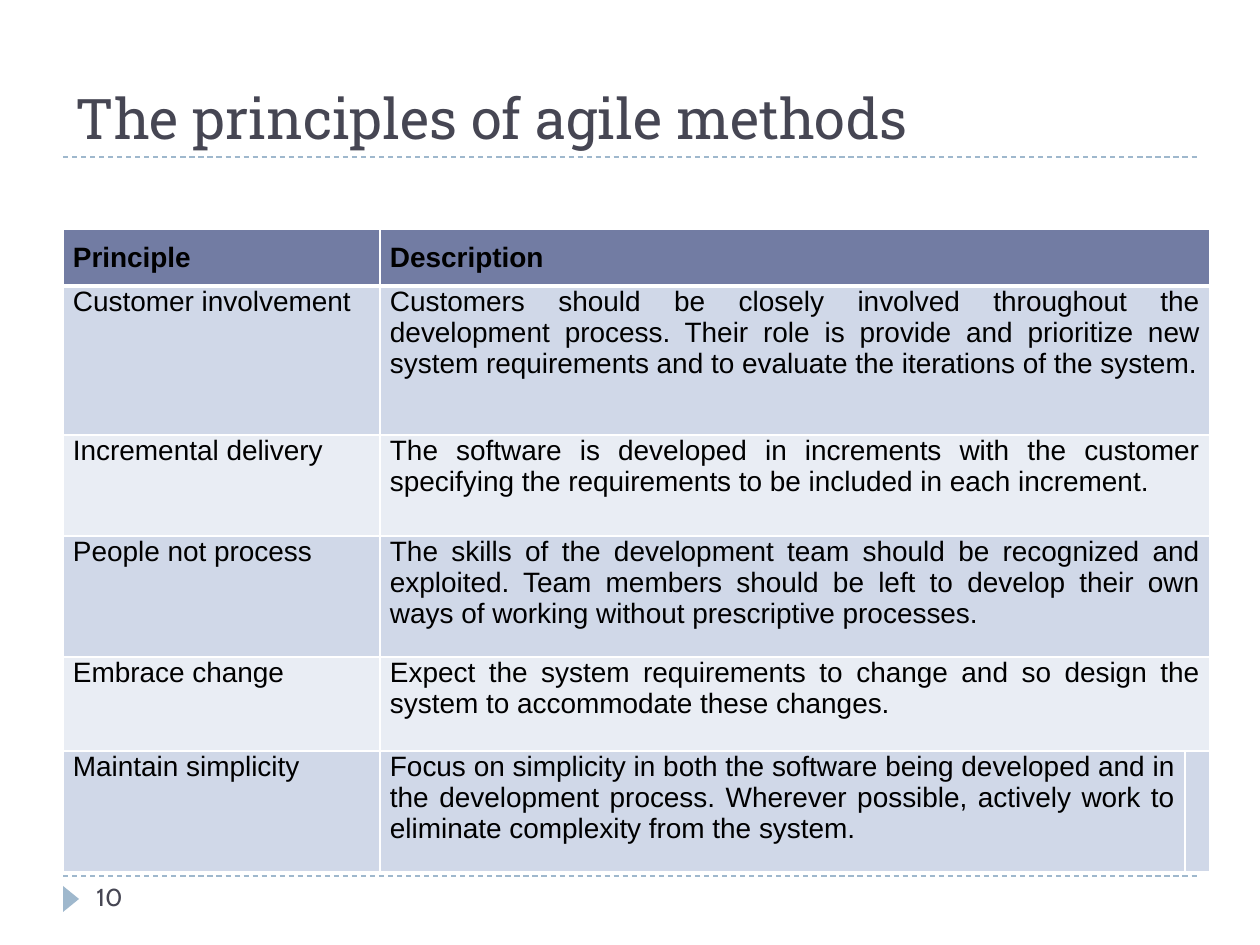
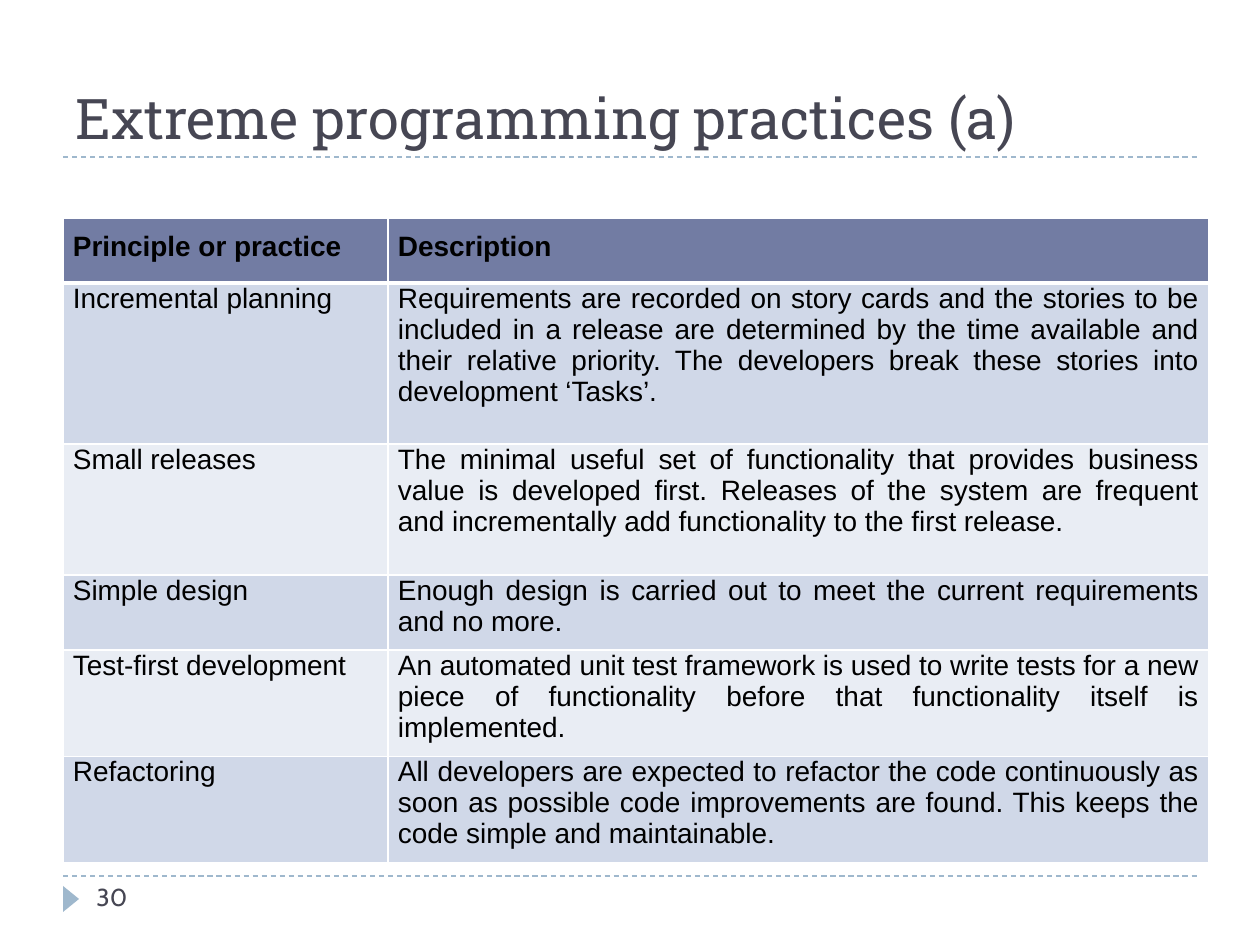
from lxml import etree
from pptx import Presentation
from pptx import util as u
from pptx.dml.color import RGBColor
from pptx.enum import dml, shapes, text
from pptx.oxml.ns import qn

PX_PER_INCH = 126
INK, ACCENT, WHITE, BLACK = "464653", "9FB8CD", "FFFFFF", "000000"
HEADER_FILL, ROW_FILLS = "727CA3", ("D0D8E8", "E9EDF4")
MARGIN, CONTENT_WIDTH = 63, 1134
TITLE_BOX = (MARGIN, 21, CONTENT_WIDTH, 136)
TITLE_RULE_Y, FOOTER_Y = 157, 876
CELL_PAD_X, CELL_PAD_Y = 10, 13

PRINCIPLES = [
    ("Principle", "Description"),
    ("Customer involvement",
     "Customers should be closely involved throughout the development process. "
     "Their role is provide and prioritize new system requirements and to "
     "evaluate the iterations of the system."),
    ("Incremental delivery",
     "The software is developed in increments with the customer specifying the "
     "requirements to be included in each increment."),
    ("People not process",
     "The skills of the development team should be recognized and exploited. "
     "Team members should be left to develop their own ways of working without "
     "prescriptive processes."),
    ("Embrace change",
     "Expect the system requirements to change and so design the system to "
     "accommodate these changes."),
    ("Maintain simplicity",
     "Focus on simplicity in both the software being developed and in the "
     "development process. Wherever possible, actively work to eliminate "
     "complexity from the system."),
]
PRACTICES = [
    ("Principle or practice", "Description"),
    ("Incremental planning",
     "Requirements are recorded on story cards and the stories to be included "
     "in a release are determined by the time available and their relative "
     "priority. The developers break these stories into development ‘Tasks’."),
    ("Small releases",
     "The minimal useful set of functionality that provides business value is "
     "developed first. Releases of the system are frequent and incrementally "
     "add functionality to the first release."),
    ("Simple design",
     "Enough design is carried out to meet the current requirements and no more."),
    ("Test-first development",
     "An automated unit test framework is used to write tests for a new piece "
     "of functionality before that functionality itself is implemented."),
    ("Refactoring",
     "All developers are expected to refactor the code continuously as soon as "
     "possible code improvements are found. This keeps the code simple and "
     "maintainable."),
]


def px(length):
    return round(length * u.Inches(1) / PX_PER_INCH)


def color(hex_string):
    return RGBColor.from_string(hex_string)


def write(frame, content, *, font, size, ink, bold=False, align=text.PP_ALIGN.LEFT):
    frame.word_wrap = True
    paragraph = frame.paragraphs[0]
    paragraph.alignment = align
    run = paragraph.add_run()
    run.text = content
    run.font.name, run.font.size, run.font.bold = font, u.Pt(size), bold
    run.font.color.rgb = color(ink)


def add_rule(slide, left, top, width):
    rule = slide.shapes.add_connector(
        shapes.MSO_CONNECTOR.STRAIGHT, px(left), px(top), px(left + width), px(top))
    rule.line.color.rgb = color(ACCENT)
    rule.line.width = u.Pt(0.75)
    rule.line.dash_style = dml.MSO_LINE.DASH
    etree.SubElement(rule._element.spPr, qn("a:effectLst"))


def add_title(slide, content, box):
    left, top, width, height = box
    title = slide.shapes.title
    title.left, title.top, title.width, title.height = map(px, box)
    title.text_frame.vertical_anchor = text.MSO_ANCHOR.BOTTOM
    write(title.text_frame, content, font="Roboto Slab", size=32, ink=INK)
    add_rule(slide, left, top + height, width)


def add_footer(slide, number, left, top, width):
    add_rule(slide, left, top, width)
    marker = slide.shapes.add_shape(
        shapes.MSO_SHAPE.ISOSCELES_TRIANGLE, px(left - 5), px(top + 15), px(26), px(16))
    marker.rotation = 90
    marker.shadow.inherit = False
    marker.fill.solid()
    marker.fill.fore_color.rgb = color(ACCENT)
    marker.line.fill.background()
    page = slide.shapes.add_textbox(px(left + 21), px(top), px(273), px(50))
    write(page.text_frame, str(number), font="Cabin", size=14, ink=INK)


def set_borders(cell, **widths):
    """Draw white borders; each side (L, R, T, B) is 1 pt unless given."""
    properties = cell._tc.get_or_add_tcPr()
    for side in "LRTB":
        line = etree.SubElement(properties, qn(f"a:ln{side}"),
                                w=str(u.Pt(widths.get(side, 1))))
        fill = etree.SubElement(line, qn("a:solidFill"))
        etree.SubElement(fill, qn("a:srgbClr"), val=WHITE)


def style_cell(cell, row_index):
    is_header = row_index == 0
    heavy_sides = {0: {"B": 3}, 1: {"T": 3}}
    set_borders(cell, **heavy_sides.get(row_index, {}))
    cell.fill.solid()
    cell.fill.fore_color.rgb = color(
        HEADER_FILL if is_header else ROW_FILLS[(row_index - 1) % 2])
    cell.margin_left = cell.margin_right = px(CELL_PAD_X)
    cell.margin_top = px(CELL_PAD_Y if is_header else 0)
    cell.margin_bottom = px(CELL_PAD_Y)


def add_description_table(slide, rows, left, top, column_widths, row_heights):
    """Add the table; a third column is merged into the second above the last row."""
    table = slide.shapes.add_table(
        len(rows), len(column_widths), px(left), px(top),
        px(sum(column_widths)), px(sum(row_heights))).table
    for column, width in zip(table.columns, column_widths):
        column.width = px(width)
    for row_index, (entries, height) in enumerate(zip(rows, row_heights)):
        table.rows[row_index].height = px(height)
        for column_index in range(len(column_widths)):
            style_cell(table.cell(row_index, column_index), row_index)
        for column_index, entry in enumerate(entries):
            write(table.cell(row_index, column_index).text_frame, entry,
                  font="Arial", size=16, ink=BLACK, bold=row_index == 0,
                  align=text.PP_ALIGN.JUSTIFY)
        if len(column_widths) == 3 and row_index < len(rows) - 1:
            table.cell(row_index, 1).merge(table.cell(row_index, 2))


def add_table_slide(presentation, title, number, rows, top, column_widths, row_heights):
    slide = presentation.slides.add_slide(presentation.slide_layouts[5])
    add_title(slide, title, TITLE_BOX)
    add_description_table(slide, rows, MARGIN, top, column_widths, row_heights)
    add_footer(slide, number, MARGIN, FOOTER_Y, CONTENT_WIDTH)


def main():
    presentation = Presentation()
    presentation.slide_width, presentation.slide_height = u.Inches(10), u.Inches(7.5)
    add_table_slide(presentation, "The principles of agile methods", 10, PRINCIPLES,
                    229, (317, 805, 18), (55, 149, 101, 121, 94, 121))
    add_table_slide(presentation, "Extreme programming practices (a)", 30, PRACTICES,
                    218, (325, 821), (65, 161, 131, 75, 106, 105))
    presentation.save("out.pptx")


if __name__ == "__main__":
    main()
